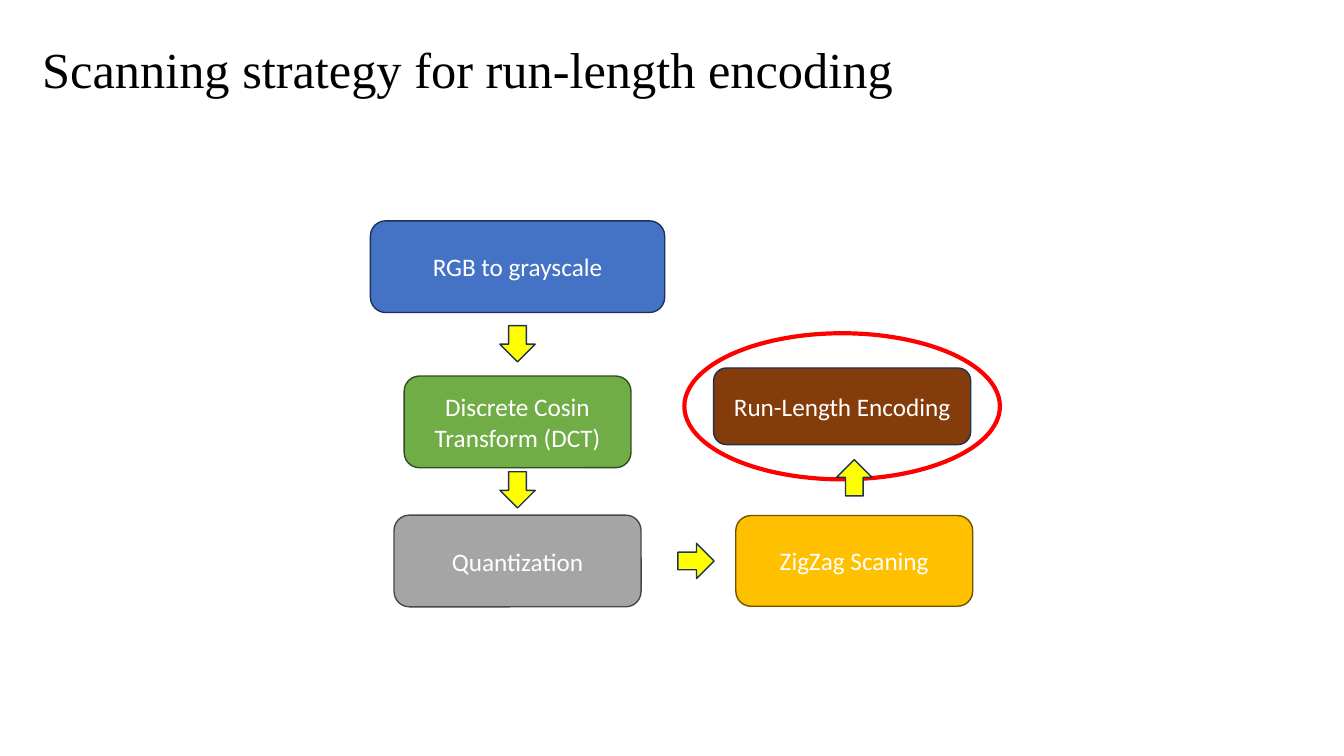
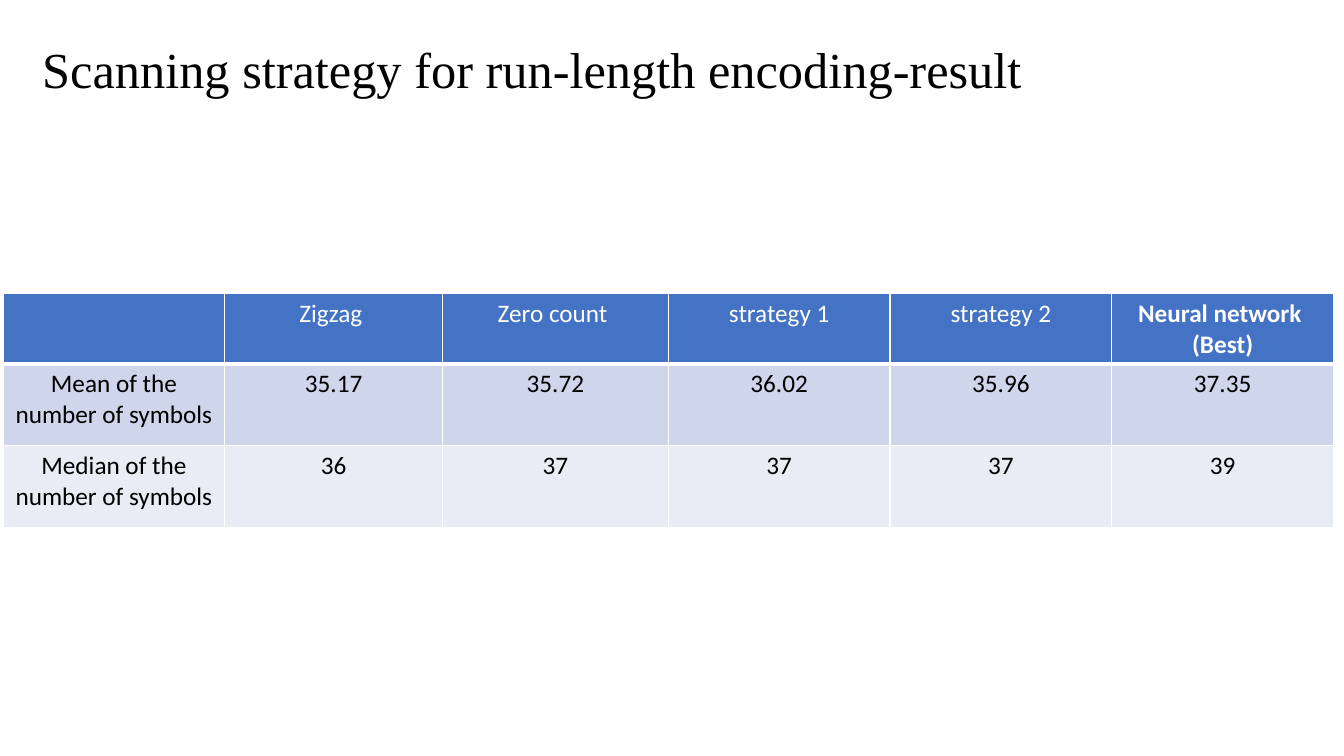
import pptx
import pptx.util
import pptx.dml.color
import pptx.enum.shapes
import pptx.enum.text
import pptx.oxml
import pptx.oxml.ns

RGB = pptx.dml.color.RGBColor
SHAPE = pptx.enum.shapes.MSO_SHAPE
ALIGN = pptx.enum.text.PP_ALIGN

# Shared style
WHITE = RGB(0xFF, 0xFF, 0xFF)
BLACK = RGB(0x00, 0x00, 0x00)
RED = RGB(0xFF, 0x00, 0x00)
YELLOW = RGB(0xFF, 0xFF, 0x00)
BLUE = RGB(0x44, 0x72, 0xC4)
NAVY = RGB(0x1E, 0x32, 0x56)
GREEN = RGB(0x70, 0xAD, 0x47)
DARK_GREEN = RGB(0x31, 0x4C, 0x1F)
GRAY = RGB(0xA5, 0xA5, 0xA5)
DARK_GRAY = RGB(0x48, 0x48, 0x48)
GOLD = RGB(0xFF, 0xC0, 0x00)
DARK_GOLD = RGB(0x70, 0x54, 0x00)
BROWN = RGB(0x84, 0x3C, 0x0B)
BAND_DARK = RGB(0xCF, 0xD5, 0xEA)
BAND_LIGHT = RGB(0xE9, 0xEB, 0xF5)
TITLE_FONT, BODY_FONT = "Times New Roman", "Calibri"
TITLE_SIZE, BODY_SIZE = 36, 18

SLIDE_W = pptx.util.Inches(13.33)
SLIDE_H = pptx.util.Inches(7.5)

# Flow chart centres, in percent of the slide
LEFT_COL, MID_COL, RIGHT_COL, RESULT_COL = 38.51, 51.79, 63.56, 62.66
TOP_ROW, MID_ROW, BOTTOM_ROW, RESULT_ROW = 35.27, 55.8, 74.2, 53.75


def across(percent):
    return int(SLIDE_W * percent / 100)


def down(percent):
    return int(SLIDE_H * percent / 100)


def add_run(p, text, size, color, font=BODY_FONT, bold=False):
    r = p.add_run()
    r.text = text
    r.font.name = font
    r.font.size = pptx.util.Pt(size)
    r.font.bold = bold
    r.font.color.rgb = color


def add_slide(prs, title, title_width):
    s = prs.slides.add_slide(prs.slide_layouts[6])
    tf = s.shapes.add_textbox(across(2.4), down(4.4), across(title_width),
                              down(9.47)).text_frame
    tf.word_wrap = True
    tf.auto_size = pptx.enum.text.MSO_AUTO_SIZE.SHAPE_TO_FIT_TEXT
    add_run(tf.paragraphs[0], title, TITLE_SIZE, BLACK, TITLE_FONT)
    return s


def add_centred(s, kind, x, y, w, h, fill, line, line_width=1):
    """Place a shape by its centre and size in percent."""
    sp = s.shapes.add_shape(kind, across(x - w / 2), down(y - h / 2),
                            across(w), down(h))
    sp.shadow.inherit = False
    sp.fill.solid()
    sp.fill.fore_color.rgb = fill
    sp.line.color.rgb = line
    sp.line.width = pptx.util.Pt(line_width)
    return sp


def add_step(s, text, x, y, w, h, fill, line):
    sp = add_centred(s, SHAPE.ROUNDED_RECTANGLE, x, y, w, h, fill, line)
    tf = sp.text_frame
    tf.word_wrap = True
    tf.vertical_anchor = pptx.enum.text.MSO_ANCHOR.MIDDLE
    p = tf.paragraphs[0]
    p.alignment = ALIGN.CENTER
    add_run(p, text, BODY_SIZE, WHITE)


def add_arrow(s, x, y, rotation=0):
    sp = add_centred(s, SHAPE.DOWN_ARROW, x, y, 2.63, 4.8, YELLOW, NAVY)
    sp.rotation = rotation


def set_borders(cell, **widths):
    tc_pr = cell._tc.get_or_add_tcPr()
    for side, width in widths.items():
        tc_pr.append(pptx.oxml.parse_xml(
            f'<a:ln{side} {pptx.oxml.ns.nsdecls("a")} w="{pptx.util.Pt(width)}">'
            f'<a:solidFill><a:srgbClr val="{WHITE}"/></a:solidFill></a:ln{side}>'))


def add_result_table(s, rows, left, top, col_widths, row_heights):
    frame = s.shapes.add_table(len(rows), len(col_widths), across(left), down(top),
                               across(sum(col_widths)), down(sum(row_heights)))
    table = frame.table
    for column, width in zip(table.columns, col_widths):
        column.width = across(width)
    for i, (row, height) in enumerate(zip(rows, row_heights)):
        table.rows[i].height = down(height)
        header = i == 0
        for j, text in enumerate(row):
            cell = table.cell(i, j)
            set_borders(cell, L=1, R=1, T=3 if i == 1 else 1, B=3 if header else 1)
            cell.fill.solid()
            cell.fill.fore_color.rgb = (BLUE, BAND_DARK, BAND_LIGHT)[i]
            best = header and j == len(row) - 1
            tf = cell.text_frame
            for k, part in enumerate(text.split("\n") if text else []):
                p = tf.add_paragraph() if k else tf.paragraphs[0]
                p.alignment = ALIGN.CENTER
                add_run(p, part, BODY_SIZE, WHITE if header else BLACK, bold=best)


def build_flow(prs):
    s = add_slide(prs, "Scanning strategy for run-length encoding", 68.4)
    # Highlight around the last step
    add_centred(s, SHAPE.OVAL, RESULT_COL, RESULT_ROW, 23.48, 19.33, WHITE, RED, 3)
    # Steps
    for step in (
        ("RGB to grayscale", LEFT_COL, TOP_ROW, 21.9, 12.13, BLUE, NAVY),
        ("Discrete Cosin Transform (DCT)", LEFT_COL, MID_ROW, 16.88, 12.13,
         GREEN, DARK_GREEN),
        ("Quantization", LEFT_COL, BOTTOM_ROW, 18.38, 12.13, GRAY, DARK_GRAY),
        ("ZigZag Scaning", RIGHT_COL, BOTTOM_ROW, 17.63, 12, GOLD, DARK_GOLD),
        ("Run-Length Encoding", RESULT_COL, RESULT_ROW, 19.13, 10.13, BROWN, NAVY),
    ):
        add_step(s, *step)
    # Arrows between steps
    add_arrow(s, LEFT_COL, 45.47)
    add_arrow(s, LEFT_COL, 64.8)
    add_arrow(s, MID_COL, BOTTOM_ROW, 270)
    add_arrow(s, RIGHT_COL, 63.2, 180)


def build_results(prs):
    s = add_slide(prs, "Scanning strategy for run-length encoding-result", 78)
    rows = (
        ("", "Zigzag ", "Zero count ", "strategy 1", "strategy 2",
         "Neural network \n(Best)"),
        ("Mean of the number of symbols", "35.17", "35.72", "36.02", "35.96", "37.35"),
        ("Median of the number of symbols", "36", "37", "37", "37", "39"),
    )
    add_result_table(s, rows, 0.23, 38.8, (16.5, 16.2, 16.8, 16.5, 16.5, 16.5),
                     (9.3, 10.8, 10.8))


def main():
    prs = pptx.Presentation()
    prs.slide_width, prs.slide_height = SLIDE_W, SLIDE_H
    build_flow(prs)
    build_results(prs)
    prs.save("out.pptx")


if __name__ == "__main__":
    main()
